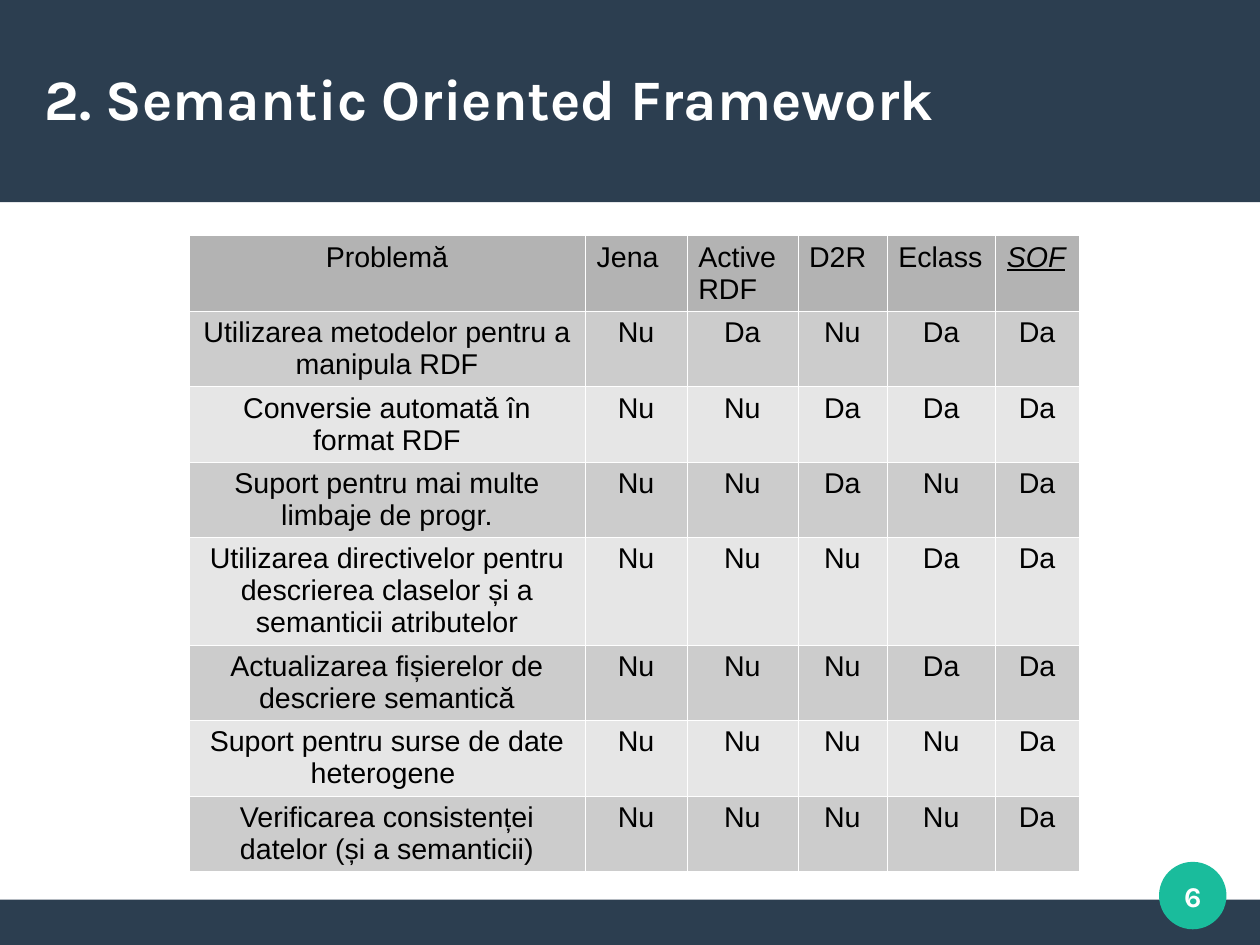
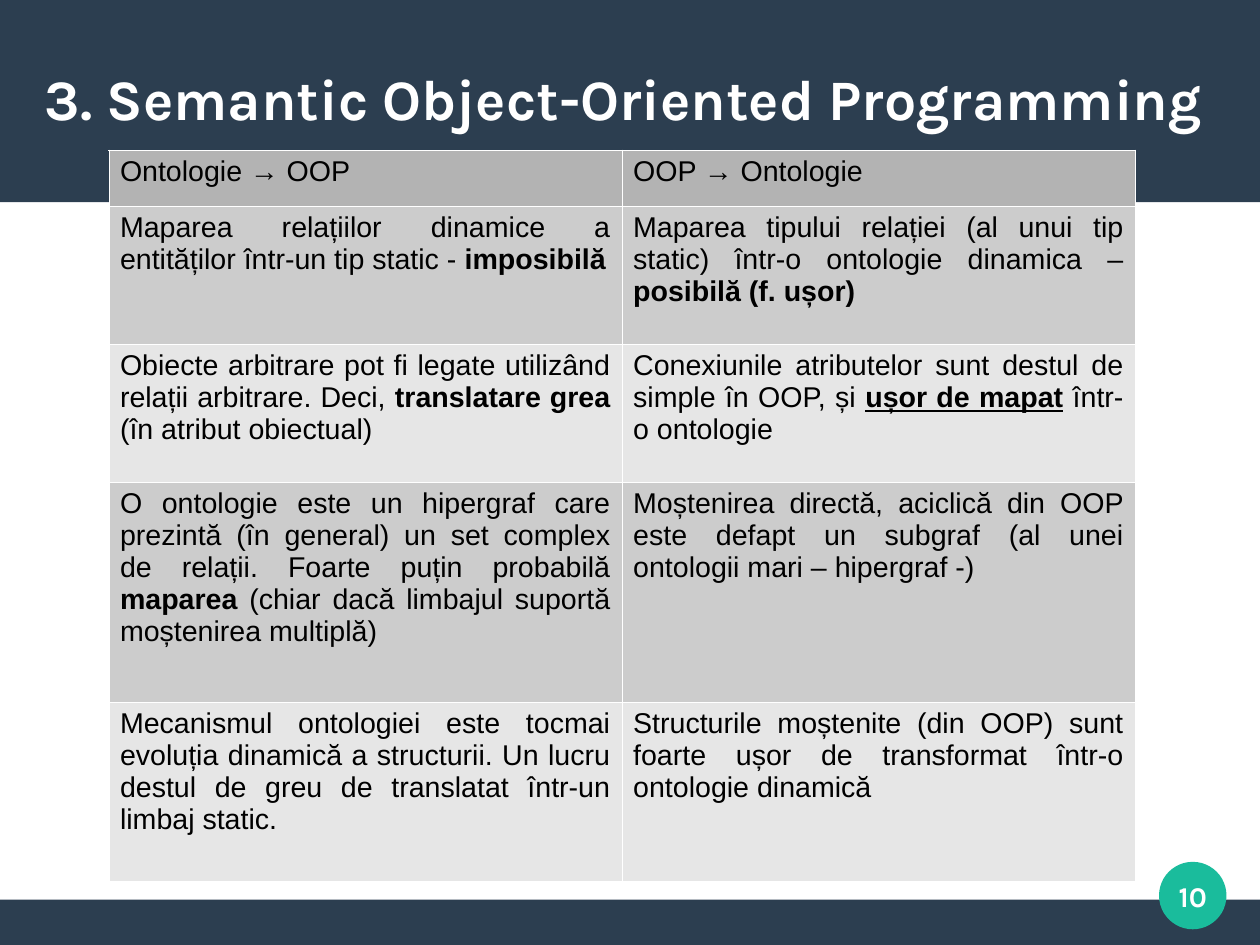
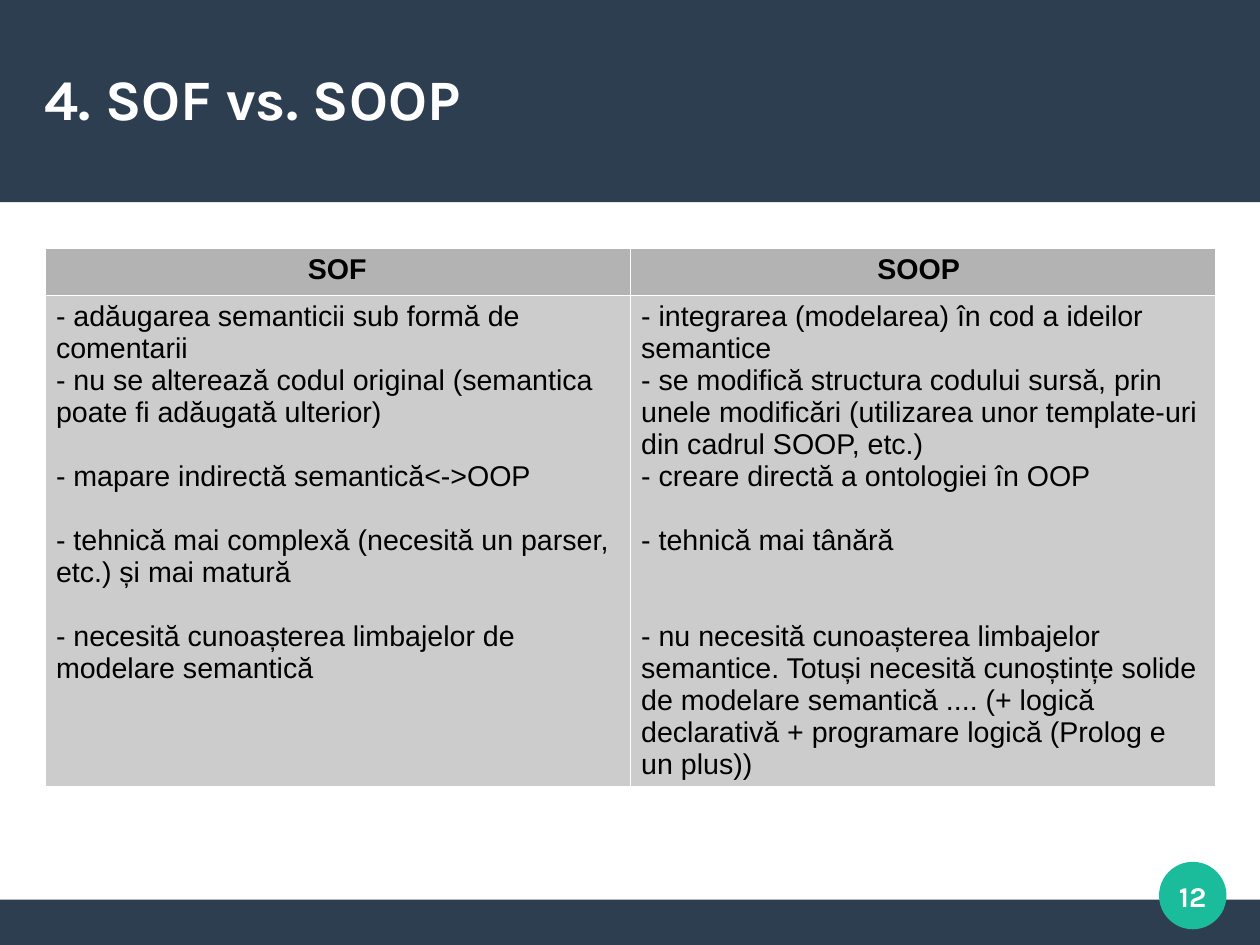
from dataclasses import dataclass

from lxml import etree
from pptx import Presentation
from pptx.dml.color import RGBColor
from pptx.enum import shapes, text
from pptx.oxml import ns
from pptx.util import Inches, Pt

LEFT, CENTER, JUSTIFY = text.PP_ALIGN.LEFT, text.PP_ALIGN.CENTER, text.PP_ALIGN.JUSTIFY


@dataclass(frozen=True)
class Theme:
    navy: str = "2C3E50"
    green: str = "1ABC9C"
    white: str = "FFFFFF"
    black: str = "000000"
    header: str = "B3B3B3"
    bands: tuple = ("CCCCCC", "E6E6E6")
    heading_font: str = "Karla"
    table_font: str = "Arial"
    title_size: float = 36
    text_size: float = 18
    line_height: float = 20.15
    border: float = 0.06


THEME = Theme()
CM_PER_INCH = 2.54
PAGE_WIDTH, PAGE_HEIGHT = 28 / CM_PER_INCH, 21 / CM_PER_INCH
TITLE_BOX = (0.39, 0.33, 10.24, 1.05)
BADGE_BOX = (10.14, 7.54, 0.59, 0.59)
NUMBER_BOX = (10.04, 7.44, 0.79, 0.79)


@dataclass(frozen=True)
class Span:
    text: str
    bold: bool = False
    italic: bool = False
    underline: bool = False


@dataclass(frozen=True)
class Para:
    """Spans of one paragraph, with a number of empty line heights above it."""
    spans: tuple
    lines_above: int = 0


def inches(box):
    return [Inches(length) for length in box]


def add_span(para, span, font, size, color):
    """Add a span as runs, with a line break at each newline."""
    for index, line in enumerate(span.text.split("\n")):
        if index:
            para.add_line_break()
        run = para.add_run()
        run.text = line
        run.font.name = font
        run.font.size = Pt(size)
        run.font.bold = span.bold
        run.font.italic = span.italic
        run.font.underline = span.underline
        run.font.color.rgb = RGBColor.from_string(color)


def add_heading_text(frame, words, size, align):
    para = frame.paragraphs[0]
    para.alignment = align
    add_span(para, Span(words, bold=True), THEME.heading_font, size, THEME.white)


def set_frame(frame):
    frame.margin_left = frame.margin_right = frame.margin_top = frame.margin_bottom = 0
    frame.vertical_anchor = text.MSO_ANCHOR.MIDDLE
    frame.auto_size = text.MSO_AUTO_SIZE.NONE
    frame.word_wrap = True


def dress_layout(layout, page):
    """Move the bands and badge from a page to its layout, and place the title there."""
    parts = (
        (shapes.MSO_SHAPE.RECTANGLE, (0, 7.87, PAGE_WIDTH, PAGE_HEIGHT - 7.87), THEME.navy),
        (shapes.MSO_SHAPE.RECTANGLE, (0, 0, PAGE_WIDTH, 1.77), THEME.navy),
        (shapes.MSO_SHAPE.OVAL, BADGE_BOX, THEME.green),
    )
    for index, (kind, box, color) in enumerate(parts):
        shape = page.shapes.add_shape(kind, *inches(box))
        shape.shadow.inherit = False
        shape.fill.solid()
        shape.fill.fore_color.rgb = RGBColor.from_string(color)
        shape.line.fill.background()
        layout.shapes._spTree.insert(2 + index, shape._element)
    title = layout.placeholders[0]
    title.left, title.top, title.width, title.height = inches(TITLE_BOX)
    set_frame(title.text_frame)


def add_badge_number(page, number):
    box = page.shapes.add_textbox(*inches(NUMBER_BOX))
    set_frame(box.text_frame)
    add_heading_text(box.text_frame, str(number), THEME.text_size, CENTER)


def set_borders(cell):
    properties = cell._tc.get_or_add_tcPr()
    for side in ("lnL", "lnR", "lnT", "lnB"):
        line = etree.SubElement(properties, ns.qn(f"a:{side}"), w=str(Pt(THEME.border)))
        fill = etree.SubElement(line, ns.qn("a:solidFill"))
        etree.SubElement(fill, ns.qn("a:srgbClr"), val=THEME.white)


def fill_cell(cell, content, align, color):
    """Write a string or a tuple of Para into a cell."""
    set_borders(cell)
    cell.fill.solid()
    cell.fill.fore_color.rgb = RGBColor.from_string(color)
    paras = rich(content) if isinstance(content, str) else content
    for index, source in enumerate(paras):
        para = cell.text_frame.add_paragraph() if index else cell.text_frame.paragraphs[0]
        para.alignment = align
        para.space_before = Pt(source.lines_above * THEME.line_height)
        for span in source.spans:
            add_span(para, span, THEME.table_font, THEME.text_size, THEME.black)


def add_grid(page, left, top, widths, heights, rows, header_aligns, body_aligns):
    frame = page.shapes.add_table(len(rows), len(widths),
                                  *inches((left, top, sum(widths), sum(heights))))
    table = frame.table
    table.first_row = table.horz_banding = False
    for column, width in zip(table.columns, widths):
        column.width = Inches(width)
    for index, (row, height, contents) in enumerate(zip(table.rows, heights, rows)):
        row.height = Inches(height)
        color = THEME.bands[(index - 1) % 2] if index else THEME.header
        aligns = body_aligns if index else header_aligns
        for cell, content, align in zip(row.cells, contents, aligns):
            fill_cell(cell, content, align, color)


def add_page(deck, layout, title):
    page = deck.slides.add_slide(layout)
    add_heading_text(page.shapes.title.text_frame, title, THEME.title_size, LEFT)
    return page


def rich(*spans):
    """One paragraph from strings and spans."""
    return (Para(tuple(Span(s) if isinstance(s, str) else s for s in spans)),)


def points(*items):
    """Paragraphs from (words, lines above) pairs."""
    return tuple(Para((Span(words),), lines) for words, lines in items)


def bold(words, underline=False):
    return Span(words, bold=True, underline=underline)


def build_framework_table(page):
    problems = (
        ("Utilizarea metodelor pentru a manipula RDF", "Nu Da Nu Da Da"),
        ("Conversie automată în format RDF", "Nu Nu Da Da Da"),
        ("Suport pentru mai multe limbaje de progr.", "Nu Nu Da Nu Da"),
        ("Utilizarea directivelor pentru descrierea claselor și a semanticii atributelor",
         "Nu Nu Nu Da Da"),
        ("Actualizarea fișierelor de descriere semantică", "Nu Nu Nu Da Da"),
        ("Suport pentru surse de date heterogene ", "Nu Nu Nu Nu Da"),
        ("Verificarea consistenței datelor (și a semanticii)", "Nu Nu Nu Nu Da"),
    )
    header = ("Problemă", "Jena", "Active\nRDF", "D2R", "Eclass",
              rich(Span("SOF", italic=True, underline=True)))
    rows = [header] + [(problem, *answers.split()) for problem, answers in problems]
    heights = [0.66] * len(rows)
    heights[4] = 0.94
    add_grid(page, 1.65, 2.06, (3.47, 0.89, 0.97, 0.78, 0.95, 0.73), heights, rows,
             [CENTER] + [LEFT] * 5, [CENTER] * 6)


def build_mapping_table(page):
    rows = (
        ("Ontologie → OOP", "OOP → Ontologie"),
        (rich("Maparea relațiilor dinamice a entităților într-un tip static - ",
              bold("imposibilă")),
         rich("Maparea tipului relației (al unui tip static) într-o ontologie dinamica – ",
              bold("posibilă (f. ușor)"))),
        (rich("Obiecte arbitrare pot fi legate utilizând relații arbitrare. Deci, ",
              bold("translatare grea "), "(în atribut obiectual)"),
         rich("Conexiunile atributelor sunt destul de simple în OOP, și ",
              bold("ușor de mapat", underline=True), " într-o ontologie")),
        (rich("O ontologie este un hipergraf care prezintă (în general) un set complex de "
              "relații. Foarte puțin probabilă ", bold("maparea"),
              " (chiar dacă limbajul suportă moștenirea multiplă)"),
         "Moștenirea directă, aciclică din OOP este defapt un subgraf "
         "(al unei ontologii mari – hipergraf -)"),
        ("Mecanismul ontologiei este tocmai evoluția dinamică a structurii. "
         "Un lucru destul de greu de translatat într-un limbaj static.",
         "Structurile moștenite (din OOP) sunt foarte ușor de transformat "
         "într-o ontologie dinamică"),
    )
    add_grid(page, 0.95, 1.31, (4.49, 4.49), (0.49, 1.21, 1.21, 1.92, 1.57), rows,
             [LEFT] * 2, [JUSTIFY] * 2)


def build_comparison_table(page):
    sof = points(
        ("- adăugarea semanticii sub formă de comentarii", 0),
        ("- nu se alterează codul original (semantica poate fi adăugată ulterior)", 0),
        ("- mapare indirectă semantică<->OOP", 1),
        ("- tehnică mai complexă (necesită un parser, etc.) și mai matură", 1),
        ("- necesită cunoașterea limbajelor de modelare semantică", 1),
    )
    soop = points(
        ("- integrarea (modelarea) în cod a ideilor semantice", 0),
        ("- se modifică structura codului sursă, prin unele modificări "
         "(utilizarea unor template-uri din cadrul SOOP, etc.)", 0),
        ("- creare directă a ontologiei în OOP", 0),
        ("- tehnică mai tânără", 1),
        ("- nu necesită cunoașterea limbajelor semantice. Totuși necesită cunoștințe solide "
         "de modelare semantică .... (+ logică declarativă + programare logică "
         "(Prolog e un plus))", 2),
    )
    rows = ((rich(bold("SOF")), rich(bold("SOOP "))), (sof, soop))
    add_grid(page, 0.39, 2.17, (5.12, 5.12), (0.41, 4.3), rows, [CENTER] * 2, [LEFT] * 2)


def main():
    deck = Presentation()
    deck.slide_width, deck.slide_height = inches((PAGE_WIDTH, PAGE_HEIGHT))
    layout = deck.slide_layouts.get_by_name("Title Only")
    pages = (
        ("2. Semantic Oriented Framework", 6, build_framework_table),
        ("3. Semantic Object-Oriented Programming", 10, build_mapping_table),
        ("4. SOF vs. SOOP", 12, build_comparison_table),
    )
    for index, (title, number, build_table) in enumerate(pages):
        page = add_page(deck, layout, title)
        if index == 0:
            dress_layout(layout, page)
        build_table(page)
        add_badge_number(page, number)
    deck.save("out.pptx")


if __name__ == "__main__":
    main()
